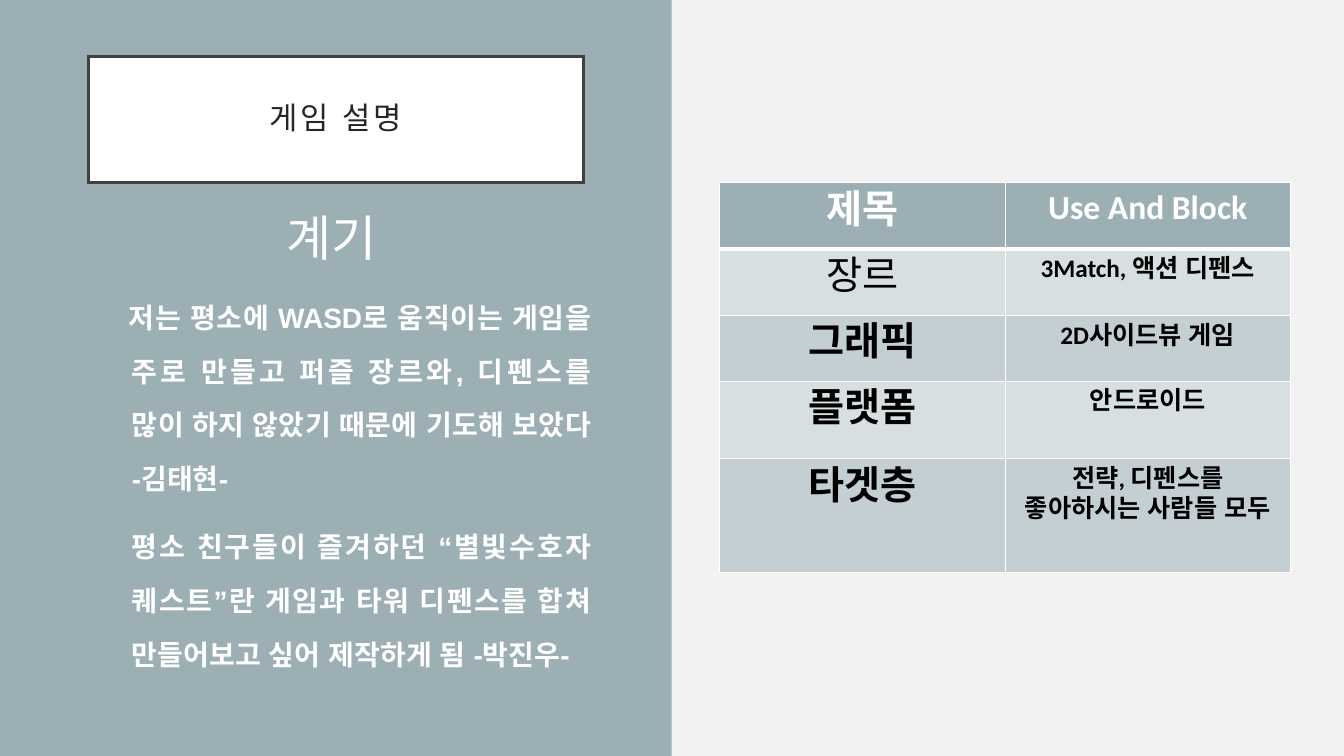
from dataclasses import dataclass

from lxml.etree import SubElement
from pptx import Presentation
from pptx.dml.color import RGBColor as Rgb
from pptx.enum.shapes import MSO_SHAPE as Shape
from pptx.enum.text import MSO_ANCHOR as Anchor, MSO_AUTO_SIZE as AutoSize, PP_ALIGN as Align
from pptx.oxml.ns import qn
from pptx.util import Cm, Pt


@dataclass(frozen=True)
class Theme:
    backdrop: str = "F2F2F2"
    accent: str = "9BAFB5"
    bands: tuple = ("D7DFE1", "C3CFD3")
    white: str = "FFFFFF"
    black: str = "000000"
    ink: str = "262626"
    frame: str = "404040"
    title_size: int = 22
    heading_size: int = 35
    body_size: int = 20
    label_size: int = 28
    name_size: int = 24
    value_size: int = 18
    display_font: str = "Calibri"
    body_font: str = "Arial"


THEME = Theme()

MOTIVES = [
    ("저는 평소에 WASD로 움직이는 게임을 주로 만들고 퍼즐 장르와, "
     "디펜스를 많이 하지 않았기 때문에 기도해 보았다 -김태현-", -0.08),
    ("평소 친구들이 즐겨하던 “별빛수호자 퀘스트”란 게임과 타워 디펜스를 합쳐 "
     "만들어보고 싶어 제작하게 됨 -박진우-", 0),
]

GAME_FACTS = [
    ("제목", "Use And Block", 1.67),
    ("장르", "3Match, 액션 디펜스", 1.67),
    ("그래픽", "2D사이드뷰 게임", 1.67),
    ("플랫폼", "안드로이드", 1.95),
    ("타겟층", "전략, 디펜스를 좋아하시는 사람들 모두", 2.87),
]


def paint(fill, color):
    fill.solid()
    fill.fore_color.rgb = Rgb.from_string(color)


def write(paragraph, text, color, font_format, paragraph_format):
    for name, value in paragraph_format.items():
        setattr(paragraph, name, value)
    run = paragraph.add_run()
    run.text = text
    for name, value in font_format.items():
        setattr(run.font, name, value)
    run.font.color.rgb = Rgb.from_string(color)
    properties = run._r.get_or_add_rPr()
    SubElement(properties, qn("a:ea"), typeface=THEME.body_font)
    return properties


def place(shape, box):
    for name, value in zip(("left", "top", "width", "height"), box):
        setattr(shape, name, Cm(value))


def add_panel(slide, box):
    panel = slide.shapes.add_shape(Shape.RECTANGLE, *map(Cm, box))
    panel.shadow.inherit = False
    paint(panel.fill, THEME.accent)
    panel.line.fill.background()
    slide.shapes.element.insert(2, panel.element)


def fill_title(title, box):
    place(title, box)
    paint(title.fill, THEME.white)
    paint(title.line.fill, THEME.frame)
    title.line.width = Pt(2.5)
    SubElement(title.element.spPr.find(qn("a:ln")), qn("a:miter"), lim="800000")
    frame = title.text_frame
    frame_format = {"auto_size": AutoSize.NONE, "word_wrap": True,
                    "vertical_anchor": Anchor.MIDDLE}
    for side in ("left", "top", "right", "bottom"):
        frame_format[f"margin_{side}"] = Cm(0.5)
    for name, value in frame_format.items():
        setattr(frame, name, value)
    lettering = write(frame.paragraphs[0], "게임 설명", THEME.ink,
                      {"size": Pt(THEME.title_size), "name": THEME.display_font},
                      {"alignment": Align.CENTER, "line_spacing": 0.9})
    lettering.set("spc", "200")


def unbullet(paragraph, margin, indent):
    properties = paragraph._p.get_or_add_pPr()
    properties.set("marL", str(Cm(margin)))
    properties.set("indent", str(Cm(indent)))
    SubElement(properties, qn("a:buNone"))


def fill_motives(body, box):
    place(body, box)
    frame = body.text_frame
    frame.auto_size = AutoSize.NONE
    frame.word_wrap = True
    heading = frame.paragraphs[0]
    unbullet(heading, 0, 0)
    write(heading, "계기", THEME.white,
          {"size": Pt(THEME.heading_size), "name": THEME.body_font},
          {"alignment": Align.CENTER, "space_before": Pt(0), "line_spacing": 1.0})
    for motive, indent in MOTIVES:
        paragraph = frame.add_paragraph()
        unbullet(paragraph, 1.5, indent)
        write(paragraph, motive, THEME.white,
              {"size": Pt(THEME.body_size), "name": THEME.body_font, "bold": True},
              {"alignment": Align.JUSTIFY, "space_before": Pt(10), "line_spacing": 1.6})


def add_borders(cell, widths):
    properties = cell._tc.get_or_add_tcPr()
    for side, width in widths.items():
        line = SubElement(properties, qn(f"a:ln{side}"), w=str(Pt(width)))
        SubElement(SubElement(line, qn("a:solidFill")), qn("a:srgbClr"), val=THEME.white)


def add_facts(slide, box):
    facts = slide.shapes.add_table(len(GAME_FACTS), 2, *map(Cm, box)).table
    for row, (label, value, height) in enumerate(GAME_FACTS):
        facts.rows[row].height = Cm(height)
        header = row == 0
        value_size = THEME.name_size if header else THEME.value_size
        background = THEME.accent if header else THEME.bands[(row - 1) % 2]
        color = THEME.white if header else THEME.black
        widths = {"L": 1, "R": 1, "T": 3 if row == 1 else 1, "B": 3 if header else 1}
        for column, (text, size) in enumerate([(label, THEME.label_size), (value, value_size)]):
            cell = facts.cell(row, column)
            add_borders(cell, widths)
            paint(cell.fill, background)
            write(cell.text_frame.paragraphs[0], text, color,
                  {"size": Pt(size), "name": THEME.display_font, "bold": text != "장르"},
                  {"alignment": Align.CENTER})


def build_game_slide(deck):
    slide = deck.slides.add_slide(deck.slide_layouts[1])
    paint(slide.background.fill, THEME.backdrop)
    add_panel(slide, (0, 0, 16.93, 19.05))
    fill_title(slide.shapes.title, (2.23, 1.42, 12.47, 3.18))
    fill_motives(slide.placeholders[1], (1.57, 5.1, 13.58, 11.7))
    add_facts(slide, (18.14, 4.6, 14.38, 9.83))


def main():
    deck = Presentation()
    deck.slide_width, deck.slide_height = Cm(33.87), Cm(19.05)
    build_game_slide(deck)
    deck.save("out.pptx")


if __name__ == "__main__":
    main()
